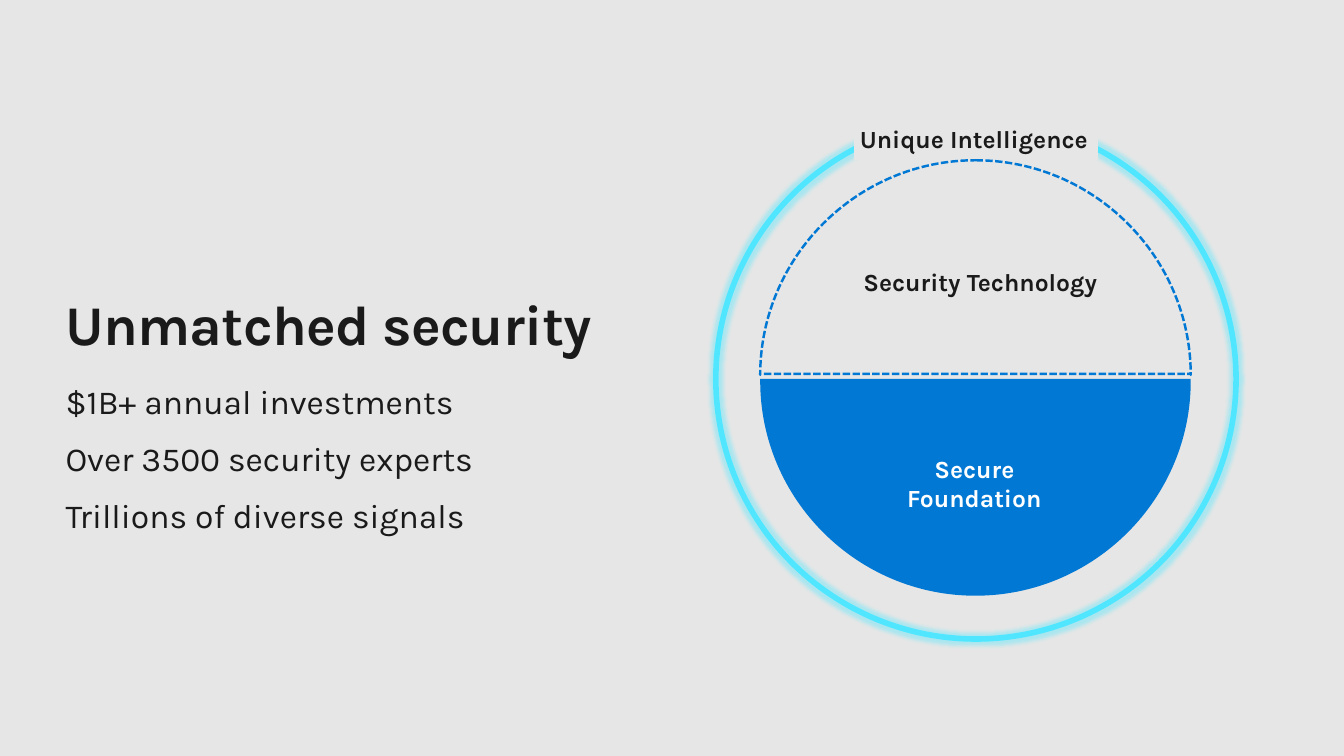
"""Build the "Unmatched security" slide with its layered circle diagram."""
import pptx
import pptx.dml.color
import pptx.enum.dml
import pptx.enum.shapes
import pptx.enum.text
import pptx.oxml
import pptx.oxml.ns
import pptx.util

Inches = pptx.util.Inches
Pt = pptx.util.Pt
RGBColor = pptx.dml.color.RGBColor
ALIGN = pptx.enum.text.PP_ALIGN
SHAPE = pptx.enum.shapes.MSO_SHAPE

GREY = RGBColor(0xE6, 0xE6, 0xE6)
INK = RGBColor(0x1A, 0x1A, 0x1A)
BLUE = RGBColor(0x00, 0x78, 0xD4)
CYAN = RGBColor(0x50, 0xE6, 0xFF)
WHITE = RGBColor(0xFF, 0xFF, 0xFF)

FRAME_FORMAT = {
    "margin_left": 0, "margin_top": 0, "margin_right": 0, "margin_bottom": 0,
    "auto_size": pptx.enum.text.MSO_AUTO_SIZE.SHAPE_TO_FIT_TEXT,
    "vertical_anchor": pptx.enum.text.MSO_ANCHOR.TOP,
}
TITLE_FONT = {"name": "Karla", "size": Pt(40), "bold": True}
FACT_FONT = {"name": "Karla", "size": Pt(24), "bold": False}
LABEL_FONT = {"name": "Karla", "size": Pt(17.6), "bold": True}

FACTS = ["$1B+ annual investments", "Over 3500 security experts",
         "Trillions of diverse signals"]
DISC_LEFT, DISC_RIGHT = 7.54, 11.81
ARC_PULL = 0.55


def set_all(target, values):
    """Set every attribute in values on target."""
    for name, value in values.items():
        setattr(target, name, value)


def write(holder, lines, font, color=INK, align=ALIGN.LEFT, after=0, wrap=True):
    """Write one formatted paragraph per line into a text holder."""
    frame = holder.text_frame
    set_all(frame, FRAME_FORMAT)
    frame.word_wrap = wrap
    for index, line in enumerate(lines):
        paragraph = frame.paragraphs[0] if index == 0 else frame.add_paragraph()
        paragraph.text = line
        set_all(paragraph, {"alignment": align, "space_before": Pt(0),
                            "space_after": Pt(after)})
        set_all(paragraph.font, font)
        paragraph.font.color.rgb = color


def add_text(slide, box, lines, font, **style):
    """Add a text box with the given lines."""
    write(slide.shapes.add_textbox(*map(Inches, box)), lines, font, **style)


def add_title(slide, box, text):
    """Place and format the title placeholder."""
    title = slide.shapes.title
    set_all(title, dict(zip(("left", "top", "width", "height"), map(Inches, box))))
    write(title, [text], TITLE_FONT)
    title.text_frame.paragraphs[0].runs[0].font._element.set("spc", "-50")


def paint(shape, fill=None, line=None, width=0, dash=None):
    """Set the fill and outline of a shape."""
    shape.shadow.inherit = False
    if fill is None:
        shape.fill.background()
    else:
        shape.fill.solid()
        shape.fill.fore_color.rgb = fill
    if line is None:
        shape.line.fill.background()
    else:
        shape.line.color.rgb = line
        set_all(shape.line, {"width": Pt(width), "dash_style": dash})


def add_glow(shape, color, radius):
    """Put a translucent glow around a shape."""
    effects = shape._element.spPr.find(pptx.oxml.ns.qn("a:effectLst"))
    effects.append(pptx.oxml.parse_xml(
        f'<a:glow {pptx.oxml.ns.nsdecls("a")} rad="{Pt(radius)}">'
        f'<a:srgbClr val="{color}"><a:alpha val="40000"/></a:srgbClr></a:glow>'))


def bend(shape, segment, points):
    """Replace a straight path segment with a curve through three points."""
    marks = "".join(f'<a:pt x="{Inches(x) - shape.left}" y="{Inches(y) - shape.top}"/>'
                    for x, y in points)
    curve = pptx.oxml.parse_xml(
        f'<a:cubicBezTo {pptx.oxml.ns.nsdecls("a")}>{marks}</a:cubicBezTo>')
    segment.getparent().replace(segment, curve)


def add_half_disc(slide, tip_y, arc_y, flat_y, **style):
    """Add a half disc from its tip, the height its arcs end at and its flat edge."""
    centre = (DISC_LEFT + DISC_RIGHT) / 2
    pull_x = ARC_PULL * (DISC_RIGHT - centre)
    pull_y = arc_y + ARC_PULL * (tip_y - arc_y)
    tip, right, left = (centre, tip_y), (DISC_RIGHT, arc_y), (DISC_LEFT, arc_y)
    outline = [tip, right, (DISC_RIGHT, flat_y), (DISC_LEFT, flat_y), left, tip]
    corners = [tuple(map(Inches, point)) for point in outline]
    builder = slide.shapes.build_freeform(*corners[0])
    builder.add_line_segments(corners[1:], close=True)
    disc = builder.convert_to_shape()
    segments = list(disc._element.iter(pptx.oxml.ns.qn("a:lnTo")))
    bend(disc, segments[0], [(centre + pull_x, tip_y), (DISC_RIGHT, pull_y), right])
    bend(disc, segments[-1], [(DISC_LEFT, pull_y), (centre - pull_x, tip_y), tip])
    paint(disc, **style)


def main():
    """Build and save the slide."""
    deck = pptx.Presentation()
    set_all(deck, {"slide_width": Inches(13.33), "slide_height": Inches(7.5)})
    slide = deck.slides.add_slide(deck.slide_layouts[5])
    slide.background.fill.solid()
    slide.background.fill.fore_color.rgb = GREY

    add_title(slide, (0.65, 2.87, 5.38, 0.67), "Unmatched security")
    add_text(slide, (0.65, 3.78, 4.29, 1.57), FACTS, FACT_FONT, after=12)

    add_half_disc(slide, 5.91, 3.78, 3.76, fill=BLUE)
    ring = slide.shapes.add_shape(SHAPE.OVAL, *map(Inches, (7.1, 1.18, 5.16, 5.16)))
    paint(ring, line=CYAN, width=4)
    add_glow(ring, CYAN, 5)
    ring_gap = slide.shapes.add_shape(
        SHAPE.RECTANGLE, *map(Inches, (8.47, 0.8, 2.42, 0.79)))
    paint(ring_gap, fill=GREY)
    add_text(slide, (7.07, 1.23, 5.18, 5.05), ["Unique Intelligence"],
             LABEL_FONT, align=ALIGN.CENTER)
    add_text(slide, (8.58, 4.5, 2.17, 0.3), ["Secure\vFoundation"],
             LABEL_FONT, color=WHITE, align=ALIGN.CENTER, wrap=False)
    add_half_disc(slide, 1.59, 3.72, 3.71, line=BLUE, width=1.75,
                  dash=pptx.enum.dml.MSO_LINE.SQUARE_DOT)
    add_text(slide, (8.46, 2.65, 2.53, 0.3), ["Security Technology"],
             LABEL_FONT, align=ALIGN.CENTER)
    deck.save("out.pptx")


if __name__ == "__main__":
    main()
